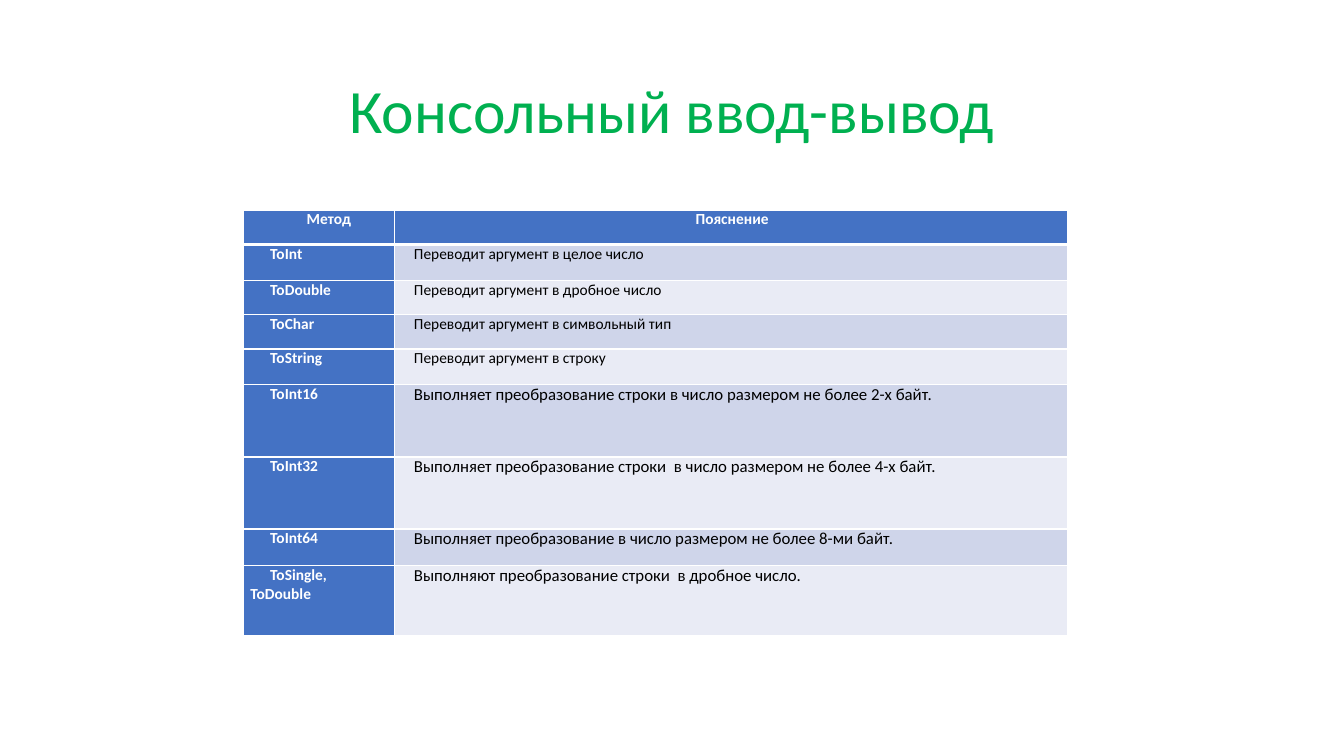
import lxml.etree
import pptx
import pptx.dml.color
import pptx.enum.text
import pptx.oxml.ns
import pptx.util

Pt = pptx.util.Pt
ALIGN = pptx.enum.text.PP_ALIGN
ANCHOR = pptx.enum.text.MSO_ANCHOR

FONT = "Calibri"
WHITE, BLACK, GREEN, BLUE = "FFFFFF", "000000", "00B050", "4472C4"
BANDS = ("CFD5EA", "E9EBF5")

COLUMN_WIDTHS = (108, 481)
HEADER = ("Метод", "Пояснение")
HEADER_HEIGHT = 24.6
# Method, explanation, row height, explanation text size
METHODS = (
    ("ToInt", "Переводит аргумент в целое число", 25.6, 11),
    ("ToDouble", "Переводит аргумент в дробное число", 24.6, 11),
    ("ToChar", "Переводит аргумент в символьный тип", 24.6, 11),
    ("ToString", "Переводит аргумент в строку", 25.6, 11),
    ("ToInt16", "Выполняет преобразование строки в число размером не более 2-х байт.", 51.5, 12),
    ("ToInt32", "Выполняет преобразование строки  в число размером не более 4-х байт.", 51.5, 12),
    ("ToInt64", "Выполняет преобразование в число размером не более 8-ми байт.", 25.9, 12),
    ("ToSingle, ToDouble", "Выполняют преобразование строки  в дробное число.", 50, 12),
)


def rgb(value):
    return pptx.dml.color.RGBColor.from_string(value)


def format_runs(para, size, color, bold=False):
    for run in para.runs:
        run.font.name = FONT
        run.font.size = Pt(size)
        run.font.bold = bold
        run.font.color.rgb = rgb(color)


def set_borders(cell, top, bottom):
    """Draw white cell borders; top and bottom are widths in points."""
    properties = cell._tc.get_or_add_tcPr()
    for side, width in (("L", 1), ("R", 1), ("T", top), ("B", bottom)):
        line = lxml.etree.SubElement(
            properties, pptx.oxml.ns.qn(f"a:ln{side}"), w=str(Pt(width)))
        fill = lxml.etree.SubElement(line, pptx.oxml.ns.qn("a:solidFill"))
        lxml.etree.SubElement(fill, pptx.oxml.ns.qn("a:srgbClr"), val=WHITE)


def fill_cell(cell, text, fill, size, color, bold, align, left=0, first_line=0):
    cell.margin_left = cell.margin_right = Pt(5)
    cell.margin_top = cell.margin_bottom = 0
    cell.vertical_anchor = ANCHOR.TOP
    cell.fill.solid()
    cell.fill.fore_color.rgb = rgb(fill)
    para = cell.text_frame.paragraphs[0]
    para.text = text
    para.alignment = align
    properties = para._p.get_or_add_pPr()
    properties.set("marL", str(Pt(left)))
    properties.set("indent", str(Pt(first_line)))
    format_runs(para, size, color, bold)


def add_title(page, text, left, top, width, height):
    title = page.shapes.title
    title.left, title.top, title.width, title.height = map(Pt, (left, top, width, height))
    title.text_frame.text = text
    title.text_frame.vertical_anchor = ANCHOR.MIDDLE
    para = title.text_frame.paragraphs[0]
    para.alignment = ALIGN.CENTER
    para.line_spacing = 0.9
    format_runs(para, 44, GREEN)


def add_method_table(page, left, top):
    heights = [HEADER_HEIGHT] + [method[2] for method in METHODS]
    table = page.shapes.add_table(
        len(heights), len(COLUMN_WIDTHS), Pt(left), Pt(top),
        Pt(sum(COLUMN_WIDTHS)), Pt(sum(heights))).table
    for column, width in zip(table.columns, COLUMN_WIDTHS):
        column.width = Pt(width)
    for index, (row, height) in enumerate(zip(table.rows, heights)):
        row.height = Pt(height)
        for cell in row.cells:
            set_borders(cell, 3 if index == 1 else 1, 3 if index == 0 else 1)

    for column, (text, indent) in enumerate(zip(HEADER, (14.2, 1.4))):
        fill_cell(table.cell(0, column), text, BLUE, 11, WHITE, True,
                  ALIGN.CENTER, first_line=indent)
    for index, (name, explanation, _, size) in enumerate(METHODS):
        fill_cell(table.cell(index + 1, 0), name, BLUE, 11, WHITE, True,
                  ALIGN.LEFT, first_line=14.2)
        fill_cell(table.cell(index + 1, 1), explanation, BANDS[index % 2], size,
                  BLACK, False, ALIGN.LEFT, left=8.9)


def main():
    deck = pptx.Presentation()
    deck.slide_width, deck.slide_height = Pt(960), Pt(540)
    page = deck.slides.add_slide(deck.slide_layouts.get_by_name("Title Only"))
    add_title(page, "Консольный ввод-вывод", 66, 28.75, 828, 104.4)
    add_method_table(page, 173.8, 150)
    deck.save("out.pptx")


if __name__ == "__main__":
    main()
